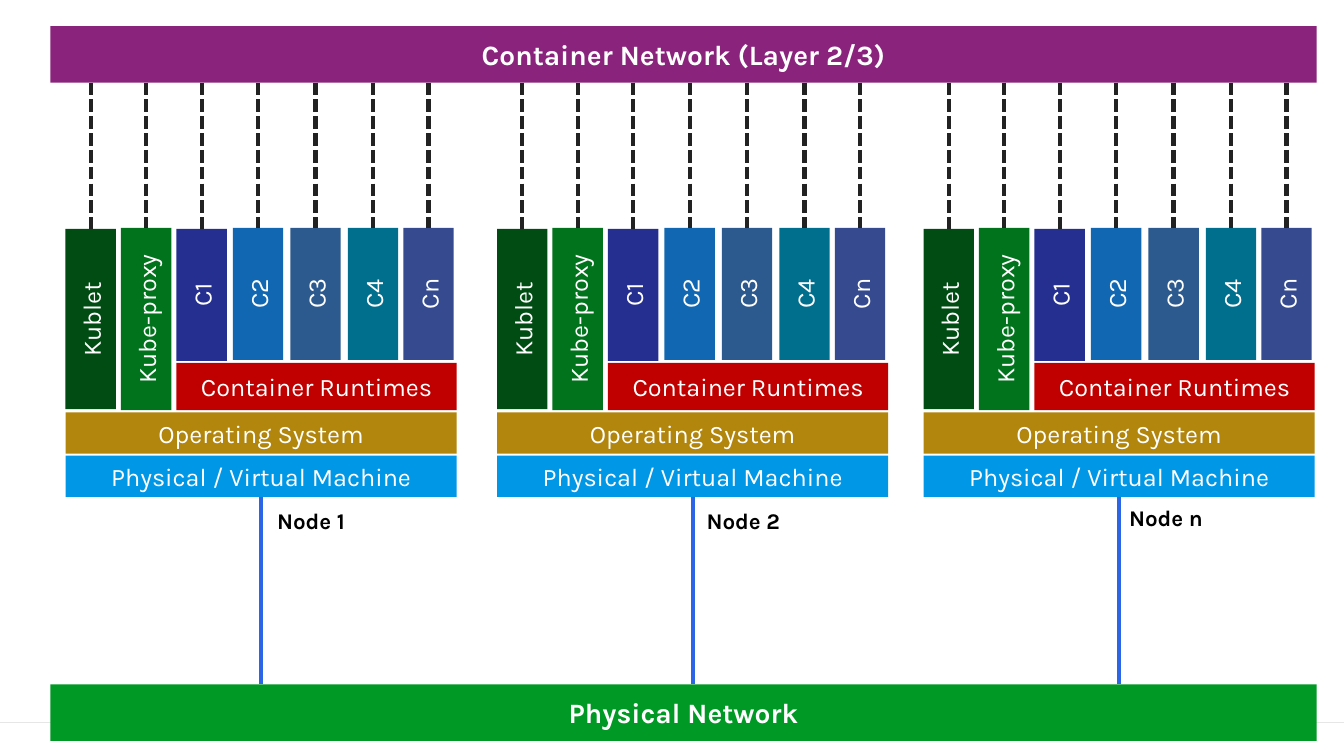
"""Build a slide of cluster nodes between a container network and a physical network."""
from pptx import Presentation
from pptx.dml.color import RGBColor
from pptx.enum.dml import MSO_LINE
from pptx.enum.shapes import MSO_CONNECTOR, MSO_SHAPE
from pptx.enum.text import MSO_ANCHOR, MSO_AUTO_SIZE, PP_ALIGN
from pptx.oxml.ns import qn
from pptx.util import Inches, Pt
from lxml.etree import SubElement

FONT = "Karla"
WHITE = RGBColor(0xFF, 0xFF, 0xFF)
BLACK = RGBColor(0, 0, 0)
GREY = RGBColor(0xE6, 0xE6, 0xE6)
CHARCOAL = RGBColor(0x22, 0x22, 0x22)
BLUE = RGBColor(0x2D, 0x65, 0xE7)
GREEN = RGBColor(0x00, 0x99, 0x25)
PURPLE = RGBColor(0x89, 0x23, 0x7C)
SKY = RGBColor(0x00, 0x97, 0xE7)
GOLD = RGBColor(0xB2, 0x85, 0x0D)
RED = RGBColor(0xC0, 0x00, 0x00)
FOREST = RGBColor(0x00, 0x4C, 0x13)
LEAF = RGBColor(0x00, 0x73, 0x1C)
INDIGO = RGBColor(0x24, 0x2F, 0x8F)
COBALT = RGBColor(0x12, 0x67, 0xB2)
STEEL = RGBColor(0x2C, 0x5A, 0x8E)
TEAL = RGBColor(0x00, 0x6E, 0x8D)
SLATE = RGBColor(0x36, 0x4B, 0x8F)

NETWORKS = [("Physical Network", 6.79, GREEN), ("Container Network (Layer 2/3)", 0.26, PURPLE)]
NODES = [("Node 1", 0.65, 2.65, 4.98), ("Node 2", 4.93, 6.91, 4.98), ("Node n", 9.16, 11.1, 4.95)]
LAYERS = [
    ("Container Runtimes", 1.1, 3.6, 2.78, 0.47, RED),
    ("Operating System", 0, 4.09, 3.88, 0.41, GOLD),
    ("Physical / Virtual Machine", 0, 4.52, 3.88, 0.41, SKY),
]
COLUMNS = [
    ("Kublet", 0, 2.27, 1.79, FOREST),
    ("Kube-proxy", 0.55, 2.26, 1.81, LEAF),
    ("C1", 1.1, 2.27, 1.31, INDIGO),
    ("C2", 1.66, 2.26, 1.31, COBALT),
    ("C3", 2.23, 2.26, 1.31, STEEL),
    ("C4", 2.8, 2.26, 1.31, TEAL),
    ("Cn", 3.35, 2.26, 1.31, SLATE),
]
COLUMN_WIDTH = 0.5
NETWORK_LEFT, NETWORK_WIDTH, NETWORK_HEIGHT = 0.5, 12.56, 0.56
PHYSICAL_TOP = NETWORKS[0][1]
CONTAINER_BOTTOM = NETWORKS[1][1] + NETWORK_HEIGHT


def write(box, text, size, color, bold=False):
    box.text_frame.text = text
    para = box.text_frame.paragraphs[0]
    font = para.runs[0].font
    font.name, font.size, font.bold = FONT, Pt(size), bold
    font.color.rgb = color
    return para


def add_block(shapes, text, left, top, width, height, fill, size=18, bold=False, upright=False):
    block = shapes.add_shape(
        MSO_SHAPE.RECTANGLE, Inches(left), Inches(top), Inches(width), Inches(height))
    block.shadow.inherit = False
    block.fill.solid()
    block.fill.fore_color.rgb = fill
    block.line.fill.background()
    write(block, text, size, WHITE, bold).alignment = PP_ALIGN.CENTER
    block.text_frame.vertical_anchor = MSO_ANCHOR.MIDDLE
    if upright:
        block.text_frame._txBody.bodyPr.set("vert", "vert270")
    return block


def add_line(shapes, start, end, color, width, dash=None):
    line = shapes.add_connector(
        MSO_CONNECTOR.STRAIGHT, *[Inches(value) for value in (*start, *end)])
    line.line.color.rgb = color
    line.line.width = Pt(width)
    if dash:
        line.line.dash_style = dash
    SubElement(line._element.spPr, qn("a:effectLst"))
    return line


def add_node(page, left):
    shapes = page.shapes.add_group_shape().shapes
    for text, offset, top, width, height, fill in LAYERS:
        layer = add_block(shapes, text, left + offset, top, width, height, fill)
    center, bottom = left + width / 2, top + height
    uplink = add_line(shapes, (center, bottom), (center, PHYSICAL_TOP), BLUE, 3)
    uplink.begin_connect(layer, 2)
    for text, offset, top, height, fill in COLUMNS:
        column = add_block(
            shapes, text, left + offset, top, COLUMN_WIDTH, height, fill, upright=True)
        middle = left + offset + COLUMN_WIDTH / 2
        link = add_line(
            shapes, (middle, CONTAINER_BOTTOM), (middle, top), CHARCOAL, 3, MSO_LINE.SQUARE_DOT)
        link.end_connect(column, 0)


def add_label(page, text, left, top):
    label = page.shapes.add_textbox(Inches(left), Inches(top), Inches(0.94), Inches(0.37))
    write(label, text, 16, BLACK, bold=True)
    label.text_frame.word_wrap = False
    label.text_frame.auto_size = MSO_AUTO_SIZE.SHAPE_TO_FIT_TEXT


def main():
    deck = Presentation()
    deck.slide_width, deck.slide_height = Inches(13.33), Inches(7.5)
    page = deck.slides.add_slide(deck.slide_layouts[6])
    add_line(page.shapes, (0, 7.17), (13.33, 7.17), GREY, 0.75)
    for text, top, fill in NETWORKS:
        add_block(page.shapes, text, NETWORK_LEFT, top, NETWORK_WIDTH, NETWORK_HEIGHT,
                  fill, size=20, bold=True)
    for name, left, label_left, label_top in NODES:
        add_node(page, left)
        add_label(page, name, label_left, label_top)
    deck.save("out.pptx")


if __name__ == "__main__":
    main()
